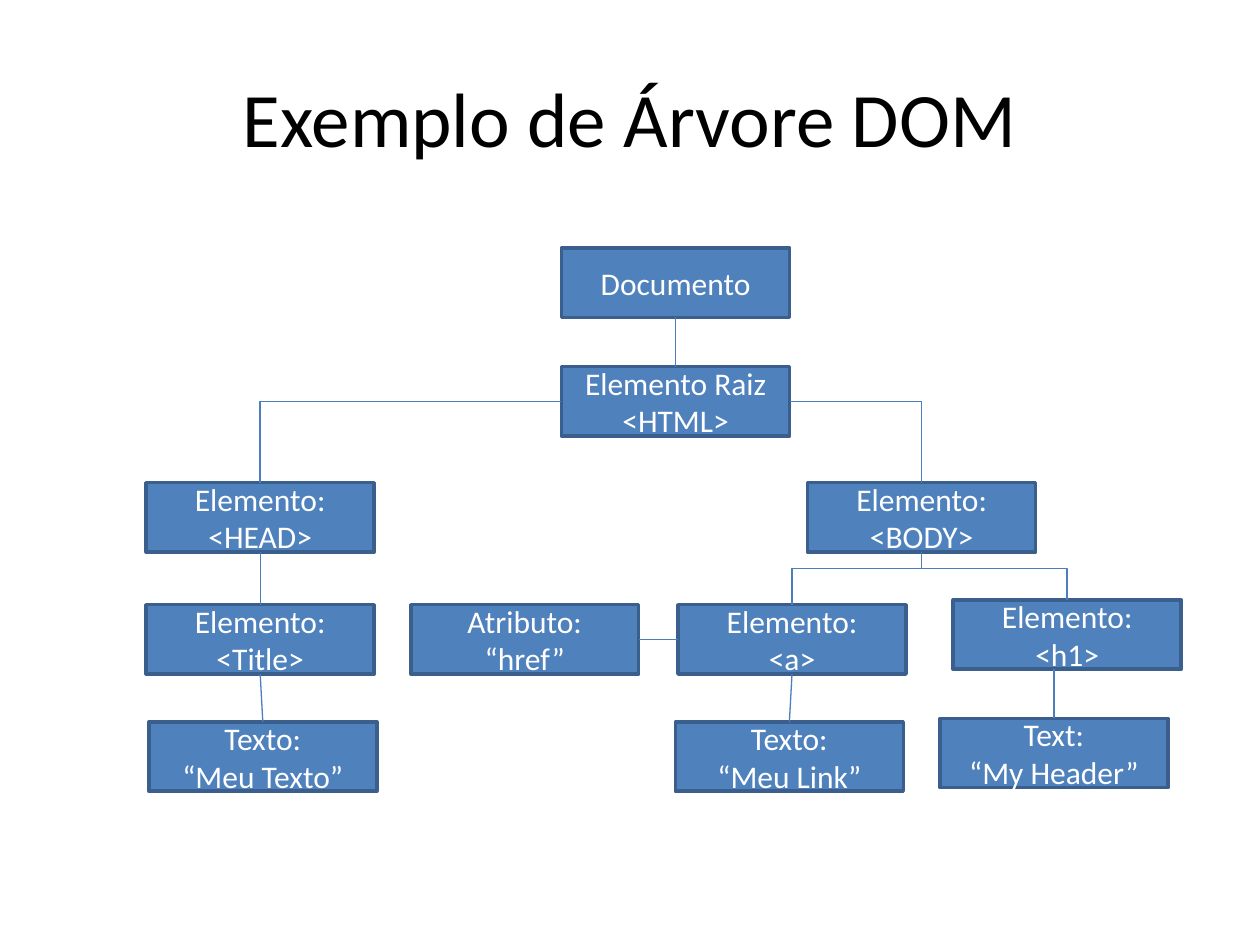
from lxml import etree
from pptx import Presentation
from pptx.dml.color import RGBColor
from pptx.enum.shapes import MSO_CONNECTOR, MSO_SHAPE
from pptx.enum.text import MSO_ANCHOR, PP_ALIGN
from pptx.oxml.ns import qn
from pptx.util import Inches, Pt

RECT = MSO_SHAPE.RECTANGLE
LINE, ELBOW = MSO_CONNECTOR.STRAIGHT, MSO_CONNECTOR.ELBOW
MID, CENTER = MSO_ANCHOR.MIDDLE, PP_ALIGN.CENTER
TOP, LEFT, BOTTOM, RIGHT = range(4)
HUES = {"title": "000000", "text": "FFFFFF", "fill": "4F81BD",
        "edge": "3A5F8C", "line": "4B7EBC"}
X0, Y0 = Inches(1.16), Inches(1.97)
COL, ROW = Inches(2.1), Inches(0.94)
WIDE, HIGH = Inches(1.81), Inches(0.55)


def style(frame, size, hue):
    frame.word_wrap = True
    frame.vertical_anchor = MID
    for para in frame.paragraphs:
        para.alignment = CENTER
        for run in para.runs:
            run.font.name = "Calibri"
            run.font.size = Pt(size)
            run.font.color.rgb = RGBColor.from_string(HUES[hue])


def link(kind, x1, y1, x2, y2):
    line = slide.shapes.add_connector(kind, int(x1), int(y1), int(x2), int(y2))
    line.line.color.rgb = RGBColor.from_string(HUES["line"])
    line.line.width = Pt(0.75)
    etree.SubElement(line._element.spPr, qn("a:effectLst"))
    return line


deck = Presentation()
deck.slide_width, deck.slide_height = Inches(10), Inches(7.5)
slide = deck.slides.add_slide(deck.slide_layouts[5])

title = slide.shapes.title
title.left, title.top = Inches(0.5), Inches(0.3)
title.width, title.height = Inches(9), Inches(1.25)
title.text_frame.text = "Exemplo de Árvore DOM"
style(title.text_frame, 44, "title")

nodes = [
    ("doc", 1.57, 0, "Documento"),
    ("html", 1.57, 1, "Elemento Raiz\v<HTML>"),
    ("head", 0, 1.98, "Elemento:\v<HEAD>"),
    ("title", 0, 3.01, "Elemento:\v<Title>"),
    ("words", 0.01, 4, "Texto:\n“Meu Texto”"),
    ("href", 1, 3.01, "Atributo:\v“href”"),
    ("body", 2.5, 1.98, "Elemento:\n<BODY>"),
    ("a", 2.01, 3.01, "Elemento:\n<a>"),
    ("h1", 3.05, 2.97, "Elemento:\n<h1>"),
    ("label", 2, 4, "Texto:\n“Meu Link”"),
    ("header", 3, 3.97, "Text:\n“My Header”"),
]
boxes = {}
for key, col, row, text in nodes:
    box = slide.shapes.add_shape(
        RECT, int(X0 + col * COL), int(Y0 + row * ROW), WIDE, HIGH)
    box.shadow.inherit = False
    box.fill.solid()
    box.fill.fore_color.rgb = RGBColor.from_string(HUES["fill"])
    box.line.color.rgb = RGBColor.from_string(HUES["edge"])
    box.line.width = Pt(2)
    box.text_frame.text = text
    style(box.text_frame, 18, "text")
    boxes[key] = box

joins = [
    ("doc", BOTTOM, "html", TOP),
    ("head", BOTTOM, "title", TOP),
    ("title", BOTTOM, "words", TOP),
    ("a", LEFT, "href", RIGHT),
    ("a", BOTTOM, "label", TOP),
]
for start, out, end, into in joins:
    line = link(LINE, 0, 0, 0, 0)
    line.begin_connect(boxes[start], out)
    line.end_connect(boxes[end], into)

html = boxes["html"]
for key, edge in (("head", html.left), ("body", html.left + WIDE)):
    box = boxes[key]
    bend = link(ELBOW, edge, html.top + HIGH / 2, box.left + WIDE / 2, box.top)
    bend._element.spPr.find(qn("a:prstGeom")).set("prst", "bentConnector2")

body, a, h1, header = (boxes[key] for key in ("body", "a", "h1", "header"))
fork = h1.top - Inches(0.25)
span, drop = h1.left - a.left, a.top - h1.top
midx = (a.left + h1.left + WIDE) / 2
midy = (a.top + h1.top) / 2
bend = link(ELBOW, midx + drop / 2, midy + span / 2,
            midx - drop / 2, midy - span / 2)
shape = bend._element.spPr
shape.find(qn("a:xfrm")).set("rot", "16200000")
guides = shape.find(qn("a:prstGeom")).find(qn("a:avLst"))
ratio = round((fork - h1.top) / drop * 100000)
etree.SubElement(guides, qn("a:gd"), name="adj1", fmla=f"val {ratio}")

stem = body.left + WIDE / 2
line = link(LINE, stem, body.top + HIGH, stem, fork)
line.begin_connect(body, BOTTOM)

stem = header.left + WIDE / 2
line = link(LINE, stem, h1.top + HIGH, stem, header.top)
line.end_connect(header, TOP)

deck.save("out.pptx")
